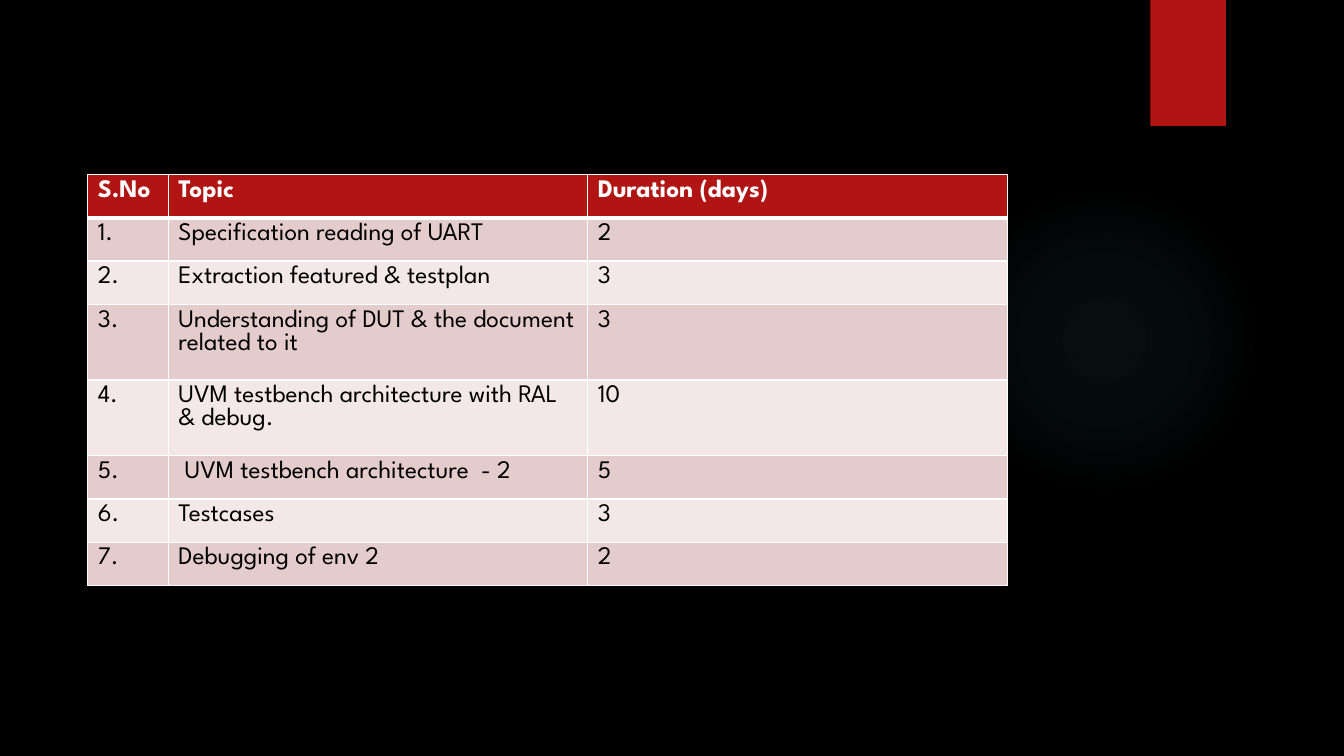
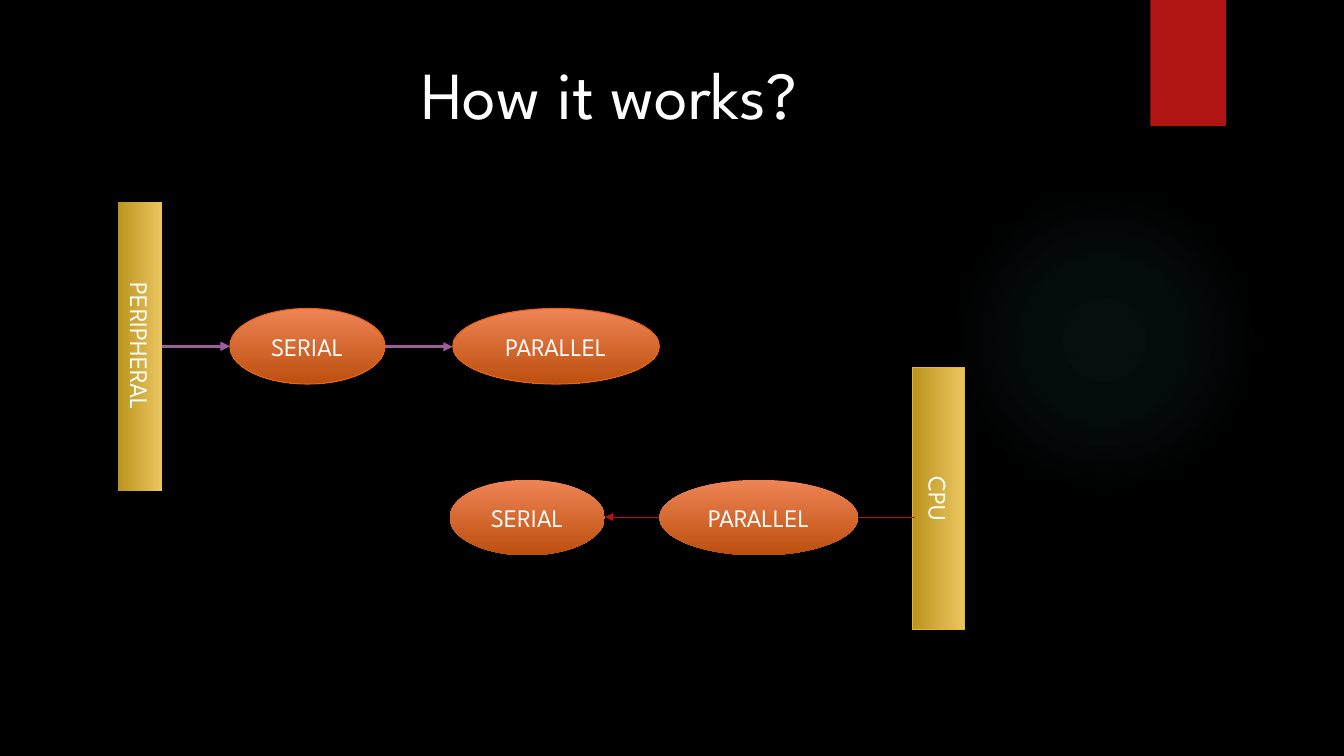
from pptx import Presentation
from pptx.dml.color import RGBColor
from pptx.enum.shapes import MSO_CONNECTOR, MSO_SHAPE
from pptx.enum.text import MSO_ANCHOR, MSO_AUTO_SIZE, PP_ALIGN
from pptx.oxml import parse_xml
from pptx.oxml.ns import nsdecls, qn
from pptx.util import Inches, Pt


class Theme:
    font = "League Spartan"
    title, body = 48, 18
    back, white, red = "000000", "FFFFFF", "B01513"
    glow, mauve = "50B9C1", "9E5E9B"
    odd, even = "E4CCCC", "F2E8E7"
    gold, amber = ("BB941F", "EBC65F"), "E6B729"
    rust, flame = ("EE8455", "BC4F0E"), "EA6312"


def write(frame, text, size=Theme.body, color=Theme.white, bold=False,
          align=PP_ALIGN.LEFT, anchor=None, gap=None):
    para = frame.paragraphs[0]
    para.alignment, para.line_spacing = align, gap
    if anchor is not None:
        frame.vertical_anchor = anchor
    run = para.add_run()
    run.text = text
    run.font.name, run.font.size, run.font.bold = Theme.font, Pt(size), bold
    run.font.color.rgb = RGBColor.from_string(color)


def node(shapes, kind, box, text, stops, angle, edge):
    """Add a labelled shape with a two-colour gradient and an optional outline."""
    item = shapes.add_shape(kind, *map(Inches, box))
    item.shadow.inherit = False
    item.fill.gradient()
    item.fill.gradient_angle = angle
    for stop, color in zip(item.fill.gradient_stops, stops):
        stop.color.rgb = RGBColor.from_string(color)
    if edge:
        item.line.color.rgb = RGBColor.from_string(edge)
        item.line.width = Pt(0.75)
    else:
        item.line.fill.background()
    write(item.text_frame, text, align=PP_ALIGN.CENTER, anchor=MSO_ANCHOR.MIDDLE)
    return item


deck = Presentation()
deck.slide_width, deck.slide_height = Inches(13.33), Inches(7.5)
plan = deck.slides.add_slide(deck.slide_layouts[6])
flow = deck.slides.add_slide(deck.slide_layouts[5])

# Master: black ground, soft glow and red tab
master = deck.slide_master
master.background.fill.solid()
master.background.fill.fore_color.rgb = RGBColor.from_string(Theme.back)
glow = plan.shapes.add_shape(MSO_SHAPE.OVAL, Inches(9.41), Inches(1.83),
                             Inches(3.08), Inches(3.08))
glow.fill.gradient()
stops = "".join(
    f'<a:gs pos="{pos}000"><a:srgbClr val="{Theme.glow}">'
    f'<a:alpha val="{alpha}000"/></a:srgbClr></a:gs>'
    for pos, alpha in ((0, 7), (36, 6), (69, 0)))
props = glow.element.spPr
props.replace(props.find(qn("a:gradFill")), parse_xml(
    f'<a:gradFill {nsdecls("a")}><a:gsLst>{stops}</a:gsLst><a:path path="circle">'
    '<a:fillToRect l="50000" t="50000" r="50000" b="50000"/></a:path></a:gradFill>'))
tab = plan.shapes.add_shape(MSO_SHAPE.RECTANGLE, Inches(11.41), 0,
                            Inches(0.75), Inches(1.25))
tab.fill.solid()
tab.fill.fore_color.rgb = RGBColor.from_string(Theme.red)
for i, item in enumerate((glow, tab)):
    item.shadow.inherit = False
    item.line.fill.background()
    item.element.nvSpPr.cNvPr.id = 101 + i
    master.shapes.element.insert(2 + i, item.element)

# Slide 1: work plan
rows = [
    ("S.No", "Topic", "Duration (days)"),
    ("1.", "Specification reading of UART", "2"),
    ("2.", "Extraction featured & testplan", "3"),
    ("3.", "Understanding of DUT & the document related to it", "3"),
    ("4.", "UVM testbench architecture with RAL & debug.", "10"),
    ("5.", " UVM testbench architecture  - 2", "5"),
    ("6.", "Testcases", "3"),
    ("7.", "Debugging of env 2", "2"),
]
widths = (0.8, 4.16, 4.16)
heights = [0.75 if r in (3, 4) else 0.43 for r in range(len(rows))]
table = plan.shapes.add_table(len(rows), len(widths), Inches(0.87), Inches(1.73),
                              Inches(sum(widths)), Inches(sum(heights))).table
for col, width in zip(table.columns, widths):
    col.width = Inches(width)
for r, (row, height) in enumerate(zip(rows, heights)):
    table.rows[r].height = Inches(height)
    head = r == 0
    fill = Theme.red if head else Theme.odd if r % 2 else Theme.even
    for c, text in enumerate(row):
        cell = table.cell(r, c)
        write(cell.text_frame, text, bold=head,
              color=Theme.white if head else Theme.back)
        cell.fill.solid()
        cell.fill.fore_color.rgb = RGBColor.from_string(fill)
        for i, side in enumerate("LRTB"):
            thick = (r, side) in ((0, "B"), (1, "T"))
            cell._tc.tcPr.insert(i, parse_xml(
                f'<a:ln{side} {nsdecls("a")} w="{Pt(3 if thick else 1)}"><a:solidFill>'
                f'<a:srgbClr val="{Theme.white}"/></a:solidFill></a:ln{side}>'))

# Slide 2: data flow
title = flow.shapes.title
title.left, title.top = Inches(4.08), Inches(0.25)
title.width, title.height = Inches(4.65), Inches(1.44)
title.text_frame.word_wrap = True
title.text_frame.auto_size = MSO_AUTO_SIZE.NONE
write(title.text_frame, "How it works?", size=Theme.title,
      anchor=MSO_ANCHOR.MIDDLE, gap=0.9)

bars = []
for box, text, edge in (
    ((1.17, 2, 0.44, 2.87), "PERIPHERAL", None),
    ((9.05, 3.65, 0.52, 2.6), "CPU", Theme.amber),
):
    bar = node(flow.shapes, MSO_SHAPE.RECTANGLE, box, text, Theme.gold, 0, edge)
    frame = bar.text_frame
    frame.margin_left = frame.margin_right = 0
    frame._txBody.bodyPr.set("vert", "vert")
    bars.append(bar)

for start, end, y, color, width, source in (
    (1.61, 2.28, 3.44, Theme.mauve, 2.25, bars[0]),
    (3.82, 4.49, 3.44, Theme.mauve, 2.25, None),
    (9.08, 8.38, 5.13, Theme.red, 0.75, None),
    (6.54, 6, 5.13, Theme.red, 0.75, None),
):
    link = flow.shapes.add_connector(MSO_CONNECTOR.STRAIGHT, Inches(start), Inches(y),
                                     Inches(end), Inches(y))
    if source:
        link.begin_connect(source, 3)
        link.end_y = link.begin_y
    link.line.color.rgb = RGBColor.from_string(color)
    link.line.width = Pt(width)
    link.line._ln.append(parse_xml(f'<a:tailEnd {nsdecls("a")} type="triangle"/>'))
    link.element.spPr.append(parse_xml(f'<a:effectLst {nsdecls("a")}/>'))

for left, top, width, text, edge in (
    (2.28, 3.06, 1.54, "SERIAL", Theme.flame),
    (4.49, 3.06, 2.05, "PARALLEL", Theme.flame),
    (4.46, 4.76, 1.54, "SERIAL", None),
    (6.54, 4.76, 1.97, "PARALLEL", None),
):
    node(flow.shapes, MSO_SHAPE.OVAL, (left, top, width, 0.75), text,
         Theme.rust, 270, edge)

deck.save("out.pptx")
